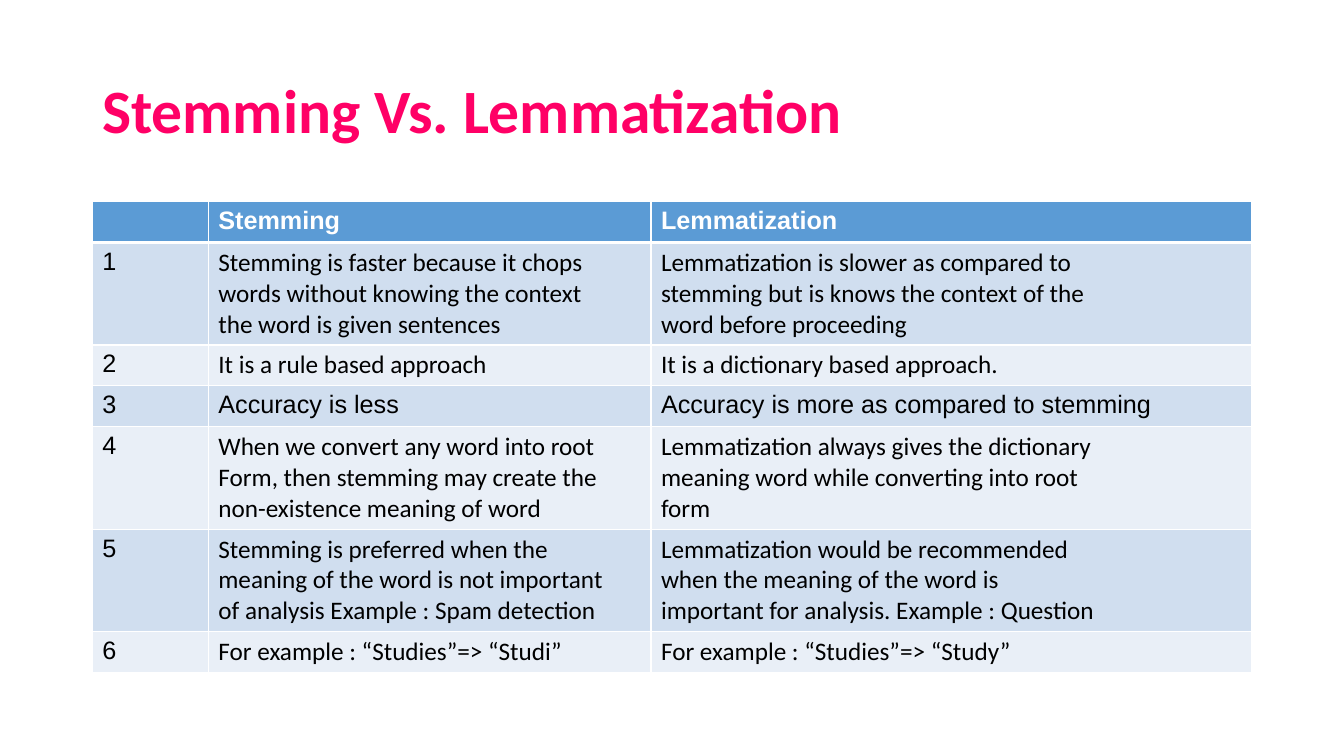
import dataclasses

import lxml.etree
import pptx
import pptx.dml.color
import pptx.enum.text
import pptx.oxml.ns
import pptx.util

Pt = pptx.util.Pt

PINK = "FF0066"
WHITE = "FFFFFF"
BLACK = "000000"
HEADER_BLUE = "5B9BD5"
BANDS = ("D0DEEF", "E9EFF7")
LEFT, WIDTH = 66, 828
COLUMN_WIDTHS = (82.8, 316.2, 429)
LINE_HEIGHT, CELL_PADDING = 22, 7.2


@dataclasses.dataclass(frozen=True)
class Comparison:
    stemming: tuple[str, ...]
    lemmatization: tuple[str, ...]
    font: str = "Calibri"


COMPARISONS = (
    Comparison(
        ("Stemming is faster because it chops",
         "words without knowing the context",
         "the word is given sentences"),
        ("Lemmatization is slower as compared to",
         "stemming but is knows the context of the",
         "word before proceeding"),
    ),
    Comparison(("It is a rule based approach",), ("It is a dictionary based approach.",)),
    Comparison(("Accuracy is less",), ("Accuracy is more as compared to stemming",), "Arial"),
    Comparison(
        ("When we convert any word into root",
         "Form, then stemming may create the",
         "non-existence meaning of word"),
        ("Lemmatization always gives the dictionary",
         "meaning word while converting into root",
         "form"),
    ),
    Comparison(
        ("Stemming is preferred when the",
         "meaning of the word is not important",
         "of analysis Example : Spam detection"),
        ("Lemmatization would be recommended",
         "when the meaning of the word is",
         "important for analysis. Example : Question"),
    ),
    Comparison(("For example : “Studies”=> “Studi”",), ("For example : “Studies”=> “Study”",)),
)


def rgb(value: str) -> pptx.dml.color.RGBColor:
    return pptx.dml.color.RGBColor.from_string(value)


def write(frame, lines: tuple[str, ...], color: str, **formats) -> None:
    for index, line in enumerate(lines):
        para = frame.paragraphs[0] if index == 0 else frame.add_paragraph()
        span = para.add_run()
        span.text = line
        span.font.color.rgb = rgb(color)
        for name, value in formats.items():
            setattr(span.font, name, value)


def set_borders(cell, top: float, bottom: float) -> None:
    properties = cell._tc.get_or_add_tcPr()
    qn = pptx.oxml.ns.qn
    for side, width in {"L": 1, "R": 1, "T": top, "B": bottom}.items():
        line = lxml.etree.SubElement(properties, qn(f"a:ln{side}"), w=str(Pt(width)))
        fill = lxml.etree.SubElement(line, qn("a:solidFill"))
        lxml.etree.SubElement(fill, qn("a:srgbClr"), val=WHITE)


def add_title(page) -> None:
    box = page.shapes.add_textbox(Pt(LEFT), Pt(28.8), Pt(WIDTH), Pt(104.4))
    frame = box.text_frame
    frame.word_wrap = True
    frame.vertical_anchor = pptx.enum.text.MSO_ANCHOR.MIDDLE
    write(frame, ("Stemming Vs. Lemmatization",), PINK, name="Calibri", size=Pt(44), bold=True)
    frame.paragraphs[0].line_spacing = 0.9


def add_comparison_table(page) -> None:
    heights = [29.2] + [
        LINE_HEIGHT * len(comparison.stemming) + CELL_PADDING for comparison in COMPARISONS
    ]
    table = page.shapes.add_table(
        len(heights), len(COLUMN_WIDTHS), Pt(LEFT), Pt(144), Pt(WIDTH), Pt(sum(heights))
    ).table
    table.first_row = table.horz_banding = False
    for column, width in zip(table.columns, COLUMN_WIDTHS):
        column.width = Pt(width)
    for row, height in zip(table.rows, heights):
        row.height = Pt(height)

    for index in range(len(heights)):
        for cell in table.rows[index].cells:
            set_borders(cell, 3 if index == 1 else 1, 3 if index == 0 else 1)
            cell.fill.solid()
            cell.fill.fore_color.rgb = rgb(BANDS[(index - 1) % 2] if index else HEADER_BLUE)

    for column, heading in enumerate(("Stemming", "Lemmatization"), start=1):
        write(table.cell(0, column).text_frame, (heading,), WHITE,
              name="Arial", size=Pt(18), bold=True)
    for number, comparison in enumerate(COMPARISONS, start=1):
        entries = (
            ((str(number),), "Arial"),
            (comparison.stemming, comparison.font),
            (comparison.lemmatization, comparison.font),
        )
        for column, (lines, font) in enumerate(entries):
            write(table.cell(number, column).text_frame, lines, BLACK,
                  name=font, size=Pt(18), bold=False)


def main() -> None:
    deck = pptx.Presentation()
    deck.slide_width, deck.slide_height = Pt(960), Pt(540)
    page = deck.slides.add_slide(deck.slide_layouts[6])
    add_title(page)
    add_comparison_table(page)
    deck.save("out.pptx")


if __name__ == "__main__":
    main()
